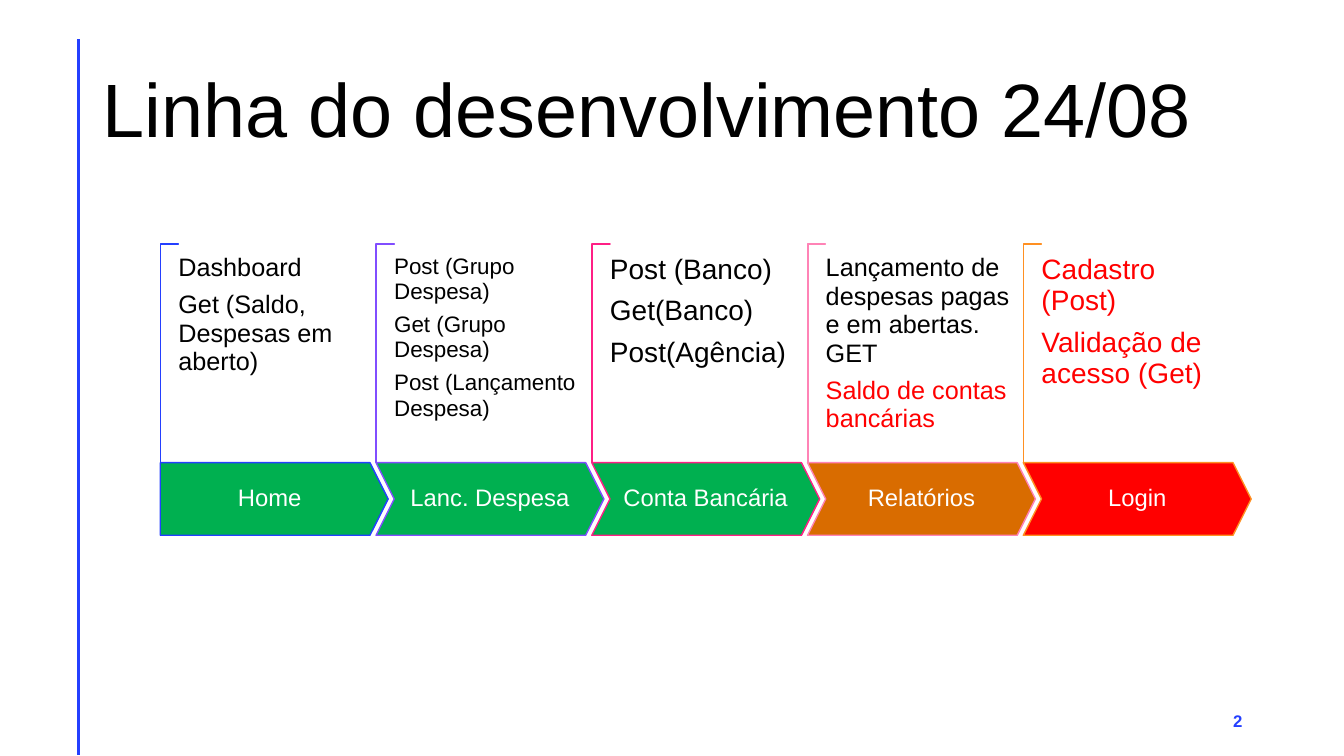
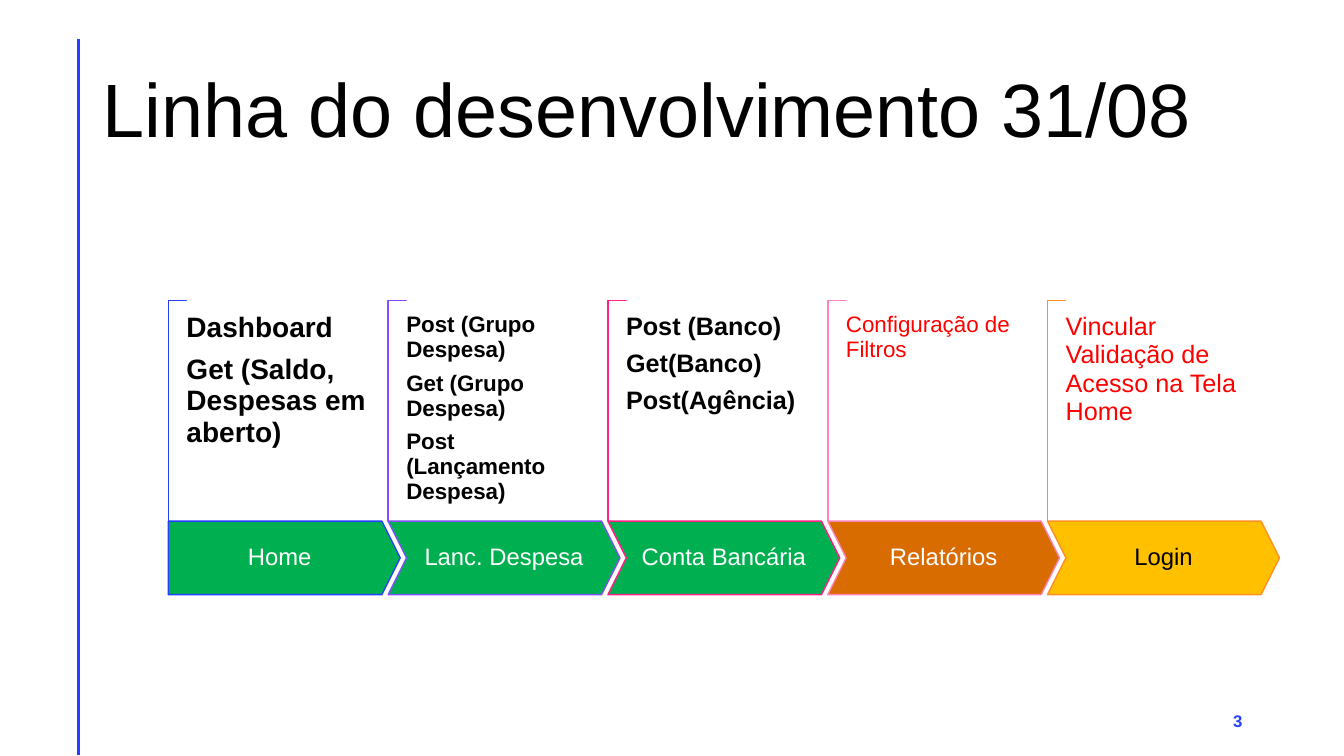
import pptx
import pptx.util
import pptx.oxml
import pptx.dml.color
import pptx.enum.shapes
import pptx.enum.text

Inches = pptx.util.Inches
Pt = pptx.util.Pt
RGBColor = pptx.dml.color.RGBColor
SHAPE = pptx.enum.shapes.MSO_SHAPE
ALIGN = pptx.enum.text.PP_ALIGN
ANCHOR = pptx.enum.text.MSO_ANCHOR

FONT = "Arial"
BLACK = RGBColor(0x00, 0x00, 0x00)
WHITE = RGBColor(0xFF, 0xFF, 0xFF)
RED = RGBColor(0xFF, 0x00, 0x00)
GREEN = RGBColor(0x00, 0xB0, 0x50)
BROWN = RGBColor(0xD9, 0x6C, 0x00)
AMBER = RGBColor(0xFF, 0xC0, 0x00)
BLUE = RGBColor(0x24, 0x3F, 0xFF)
VIOLET = RGBColor(0x81, 0x4D, 0xFF)
MAGENTA = RGBColor(0xFF, 0x1F, 0x85)
PINK = RGBColor(0xFF, 0x83, 0xB6)
ORANGE = RGBColor(0xFF, 0x90, 0x22)
STEP_LINES = [BLUE, VIOLET, MAGENTA, PINK, ORANGE]

NOTCH = 0.18


def write(tf, paragraphs, size, color=BLACK, bold=False, align=ALIGN.LEFT,
          anchor=ANCHOR.TOP, spacing=1.0, after=0, margins=(0.1, 0.05)):
    """Fill a text frame; a paragraph is a string or a (string, colour) pair."""
    tf.word_wrap = True
    tf.vertical_anchor = anchor
    tf.margin_left = tf.margin_right = Inches(margins[0])
    tf.margin_top = tf.margin_bottom = Inches(margins[1])
    for i, item in enumerate(paragraphs):
        text, tint = (item, color) if isinstance(item, str) else item
        p = tf.paragraphs[0] if i == 0 else tf.add_paragraph()
        p.alignment = align
        p.line_spacing = spacing
        p.space_after = Pt(after)
        r = p.add_run()
        r.text = text
        r.font.name = FONT
        r.font.size = Pt(size)
        r.font.bold = bold
        r.font.color.rgb = tint


class Deck:
    def __init__(self):
        self.prs = pptx.Presentation()
        self.prs.slide_width = Inches(13.33)
        self.prs.slide_height = Inches(7.5)
        self.s = None

    def add_slide(self, title, number):
        self.s = self.prs.slides.add_slide(self.prs.slide_layouts[6])
        self.rule()
        self.text(0.92, 0.4, 11.5, 1.45, [title], size=54,
                  anchor=ANCHOR.MIDDLE, spacing=0.9)
        self.text(9.42, 6.95, 3, 0.4, [str(number)], size=12, color=BLUE,
                  bold=True, align=ALIGN.RIGHT, anchor=ANCHOR.MIDDLE)

    def rule(self):
        """Draw the vertical line beside the title."""
        line = self.s.shapes.add_connector(
            pptx.enum.shapes.MSO_CONNECTOR.STRAIGHT,
            Inches(0.78), Inches(0.39), Inches(0.78), Inches(7.49))
        line.line.color.rgb = BLUE
        line.line.width = Pt(2)
        effects = pptx.oxml.parse_xml(
            '<a:effectLst xmlns:a='
            '"http://schemas.openxmlformats.org/drawingml/2006/main"/>')
        line._element.spPr.append(effects)

    def text(self, x, y, w, h, paragraphs, **style):
        box = self.s.shapes.add_textbox(Inches(x), Inches(y), Inches(w), Inches(h))
        write(box.text_frame, paragraphs, **style)

    def shape(self, kind, x, y, w, h, fill, line, adjustments):
        sp = self.s.shapes.add_shape(kind, Inches(x), Inches(y), Inches(w), Inches(h))
        sp.shadow.inherit = False
        sp.fill.solid()
        sp.fill.fore_color.rgb = fill
        sp.line.color.rgb = line
        sp.line.width = Pt(1)
        for i, value in enumerate(adjustments):
            sp.adjustments[i] = value
        return sp

    def bracket(self, x, y, height, color):
        """Draw a thin corner, turned so that it runs down the left and along the top."""
        sp = self.shape(SHAPE.CORNER, x + (NOTCH - height) / 2,
                        y + (height - NOTCH) / 2, height, NOTCH,
                        WHITE, color, (0.01, 0.01))
        sp.rotation = 90

    def arrow(self, kind, x, y, w, h, label, fill, line, color):
        sp = self.shape(kind, x, y, w, h, fill, line, (0.25,))
        write(sp.text_frame, [label], size=17, color=color, align=ALIGN.CENTER,
              anchor=ANCHOR.MIDDLE, spacing=0.9, margins=(0.05, 0))

    def timeline(self, steps, left, top, pitch, arrow_w, arrow_h, bracket_h, note_w):
        """Draw the steps; top is the upper edge of the arrows."""
        for i, (step, line) in enumerate(zip(steps, STEP_LINES)):
            label, fill, color, notes, style = step
            x = left + i * pitch
            self.bracket(x, top - bracket_h, bracket_h, line)
            self.arrow(SHAPE.CHEVRON if i else SHAPE.PENTAGON, x, top,
                       arrow_w, arrow_h, label, fill, line, color)
            self.text(x + NOTCH, top - 2.07, note_w, 1.55, notes, spacing=0.94,
                      after=0.35 * style["size"], margins=(0, 0), **style)


HOME_NOTES = ["Dashboard", "Get (Saldo, Despesas em aberto)"]
EXPENSE_NOTES = ["Post (Grupo Despesa)", "Get (Grupo Despesa)",
                 "Post (Lançamento Despesa)"]
BANK_NOTES = ["Post (Banco)", "Get(Banco)", "Post(Agência)"]


def steps(styles, reports, login):
    """Join the three finished steps with the two that are still open."""
    done = zip(["Home", "Lanc. Despesa", "Conta Bancária"],
               [HOME_NOTES, EXPENSE_NOTES, BANK_NOTES], styles)
    return [(label, GREEN, WHITE, notes, style) for label, notes, style in done] + [
        ("Relatórios", BROWN, WHITE, *reports), ("Login", *login)]


def main():
    deck = Deck()

    deck.add_slide("Linha do desenvolvimento 24/08", 2)
    deck.timeline(
        steps([dict(size=size) for size in (18, 16, 20)],
              (["Lançamento de despesas pagas e em abertas. GET",
                ("Saldo de contas bancárias", RED)], dict(size=18)),
              (RED, WHITE, ["Cadastro (Post)", "Validação de acesso (Get)"],
               dict(size=20, color=RED))),
        left=1.59, top=4.59, pitch=2.14, arrow_w=2.26, arrow_h=0.72,
        bracket_h=2.17, note_w=1.83)

    deck.add_slide("Linha do desenvolvimento 31/08", 3)
    deck.timeline(
        steps([dict(size=size, bold=True) for size in (20, 16, 18)],
              (["Configuração de Filtros"], dict(size=16, color=RED)),
              (AMBER, BLACK, ["Vincular Validação de Acesso na Tela Home"],
               dict(size=18, color=RED))),
        left=1.67, top=5.17, pitch=2.18, arrow_w=2.3, arrow_h=0.73,
        bracket_h=2.19, note_w=1.87)

    deck.prs.save("out.pptx")


if __name__ == "__main__":
    main()
